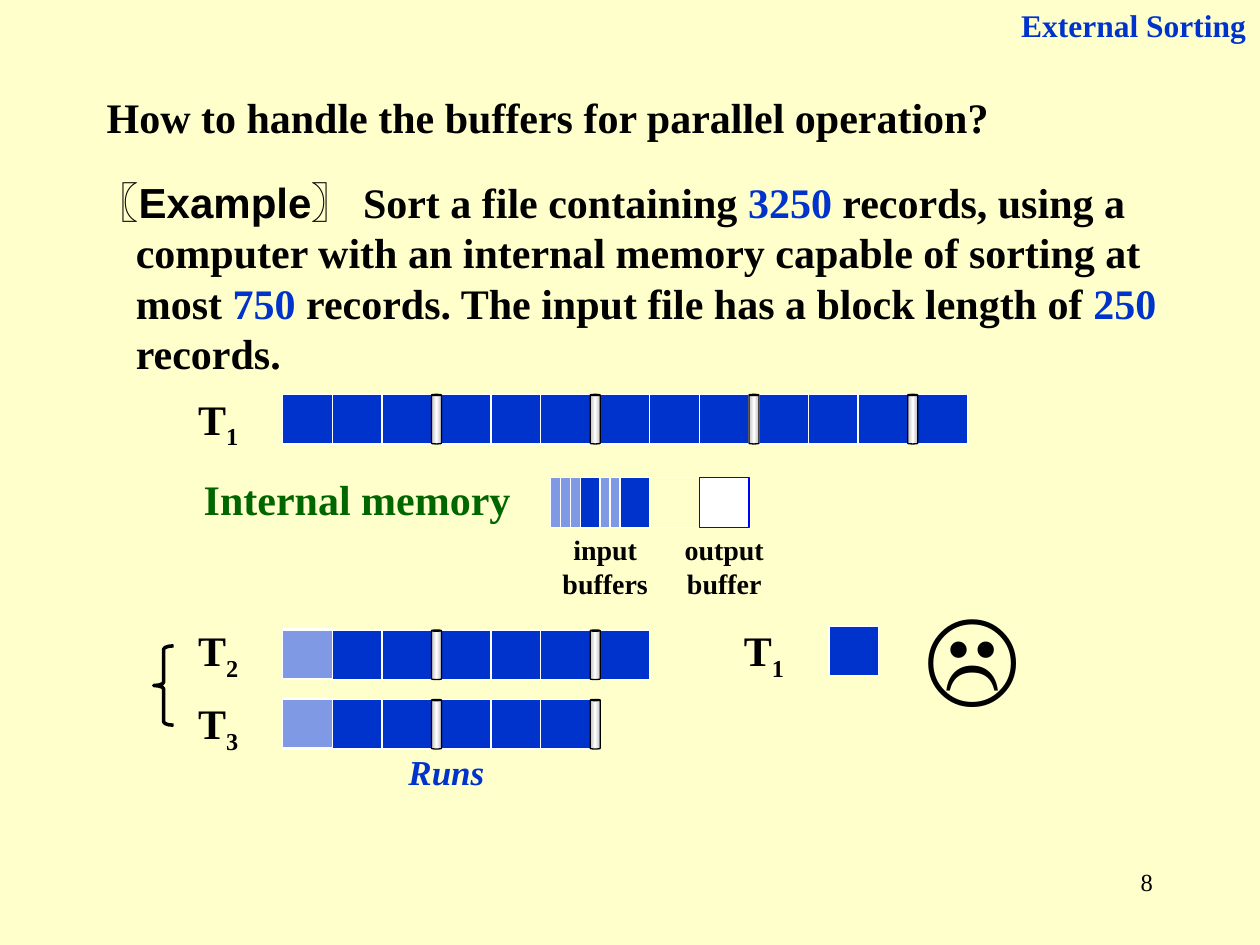
from lxml import etree
from pptx import Presentation
from pptx.dml.color import RGBColor
from pptx.enum.shapes import MSO_SHAPE
from pptx.enum.text import PP_ALIGN
from pptx.oxml.ns import qn
from pptx.util import Cm, Pt

RECT, CAN, BRACE = MSO_SHAPE.RECTANGLE, MSO_SHAPE.CAN, MSO_SHAPE.LEFT_BRACE
LEFT, MID, RIGHT = PP_ALIGN.LEFT, PP_ALIGN.CENTER, PP_ALIGN.RIGHT

CREAM = RGBColor(0xFF, 0xFF, 0xCC)
BLUE = RGBColor(0x00, 0x33, 0xCC)
EDGE = RGBColor(0x00, 0x00, 0xFF)
GREEN = RGBColor(0x00, 0x66, 0x00)
BLACK = RGBColor(0, 0, 0)
WHITE = RGBColor(0xFF, 0xFF, 0xFF)
GREY = RGBColor(0xC0, 0xC0, 0xC0)

SERIF, SANS, CJK = "Times New Roman", "Arial", "Noto Sans CJK SC"

deck = Presentation()
deck.slide_width, deck.slide_height = Cm(25.4), Cm(19.05)
slide = deck.slides.add_slide(deck.slide_layouts[6])
slide.background.fill.solid()
slide.background.fill.fore_color.rgb = CREAM


def block(left, top, wide=1, fill=BLUE, line=WHITE, kind=RECT, clear=False):
    """Add a 1 cm tall piece of a tape or buffer."""
    shape = slide.shapes.add_shape(kind, Cm(left), Cm(top), Cm(wide), Cm(1))
    shape.shadow.inherit = False
    shape.fill.solid()
    shape.fill.fore_color.rgb = fill
    shape.line.color.rgb = line
    shape.line.width = Pt(0.75)
    if clear:
        tone = shape.element.spPr.find(qn("a:solidFill"))[0]
        etree.SubElement(tone, qn("a:alpha")).set("val", "50000")
    return shape


def write(left, top, wide, high, size, runs, align=MID, bold=True):
    """Add a text box of (text, colour, font) runs; return its paragraph."""
    box = slide.shapes.add_textbox(Cm(left), Cm(top), Cm(wide), Cm(high))
    box.text_frame.word_wrap = True
    para = box.text_frame.paragraphs[0]
    para.alignment = align
    para.line_spacing = Pt(size * 1.2)
    for text, color, name in runs:
        run = para.add_run()
        run.text = text
        font = run.font
        font.size, font.bold, font.name = Pt(size), bold, name
        font.color.rgb = color
        if name == CJK:
            props = run._r.get_or_add_rPr()
            etree.SubElement(props, qn("a:ea")).set("typeface", name)
    return para


# Page number, header and question
write(18.21, 17.35, 5.28, 1.27, 14, [("8", BLACK, SERIF)], RIGHT, False)
write(19.3, 0, 6.07, 1.02, 18, [("External Sorting", BLUE, SERIF)], RIGHT)
write(1.9, 1.73, 21.4, 1.27, 24,
      [("How to handle the buffers for parallel operation?", BLACK, SERIF)],
      LEFT)

# Example
para = write(1.7, 3.43, 23, 4.32, 24, [
    ("〖", BLACK, CJK),
    ("Example", BLACK, SANS),
    ("〗 ", BLACK, CJK),
    ("Sort a file containing ", BLACK, SERIF),
    ("3250", BLUE, SERIF),
    (" records, using a computer with an internal memory capable of "
     "sorting at most ", BLACK, SERIF),
    ("750", BLUE, SERIF),
    (" records. The input file has a block length of ", BLACK, SERIF),
    ("250", BLUE, SERIF),
    (" records.", BLACK, SERIF),
], LEFT)
props = para._p.get_or_add_pPr()
props.set("marL", str(Cm(0.79)))
props.set("indent", str(-Cm(0.79)))

# Tapes: blocks in runs of three, each full run closed by a marker
START, GAP = 5.7, 0.2
for top, count in [(7.95, 13), (12.7, 7), (14.1, 6)]:
    for i in range(count):
        block(START + i + i // 3 * GAP, top)
    for i in range(count // 3):
        can = block(START + 3 + i * (3 + GAP), top, GAP, GREY, BLACK, CAN)
        can.adjustments[0] = 0.13
        can.fill.gradient()
        can.fill.gradient_angle = 0
        stops = can.element.spPr.find(qn("a:gradFill")).find(qn("a:gsLst"))
        for stop in list(stops):
            stops.remove(stop)
        for place, color in [(0, GREY), (50000, WHITE), (100000, GREY)]:
            stop = etree.SubElement(stops, qn("a:gs"), pos=str(place))
            etree.SubElement(stop, qn("a:srgbClr"), val=str(color))

# Output tape and the blocks already read
block(16.71, 12.62)
for top in (12.68, 14.08):
    block(START, top, fill=WHITE, clear=True)

# Tape names
for left, top, digit in [(3.5, 7.8, "1"), (3.5, 12.47, "2"),
                         (3.5, 13.94, "3"), (14.5, 12.47, "1")]:
    para = write(left, top, 1.8, 1.42, 24,
                 [("T", BLACK, SERIF), (digit, BLACK, SERIF)])
    para.line_spacing = None
    para.runs[1]._r.get_or_add_rPr().set("baseline", "-25000")

# Internal memory: two input buffers, a free one and the output buffer
write(3.3, 9.42, 7.8, 1.27, 24, [("Internal memory", GREEN, SERIF)])
ROW, INPUT = 9.63, 11.1
for i, fill in enumerate([BLUE, BLUE, CREAM]):
    block(INPUT + i, ROW, fill=fill)
for i, used in enumerate([3, 2]):
    for j in range(used):
        block(INPUT + i + j * GAP, ROW, GAP, WHITE, clear=True)
block(INPUT + 3, ROW, fill=WHITE, line=EDGE)
for left, label in [(10.7, "input buffers"), (13.1, "output buffer")]:
    write(left, 10.62, 3, 1.63, 16, [(label, BLACK, SERIF)])

# Brace and caption of the runs
brace = slide.shapes.add_shape(BRACE, Cm(3.1), Cm(13.02), Cm(0.4), Cm(1.6))
brace.shadow.inherit = False
brace.fill.background()
brace.line.color.rgb = BLACK
brace.line.width = Pt(2)
brace.adjustments[0] = 0.17
para = write(7.7, 15.01, 2.6, 1.12, 20, [("Runs", BLUE, SERIF)])
para.runs[0].font.italic = True

# Sad face
write(18.1, 11.73, 3, 2.8, 60, [("☹", BLACK, SANS)], bold=False)

deck.save("out.pptx")
